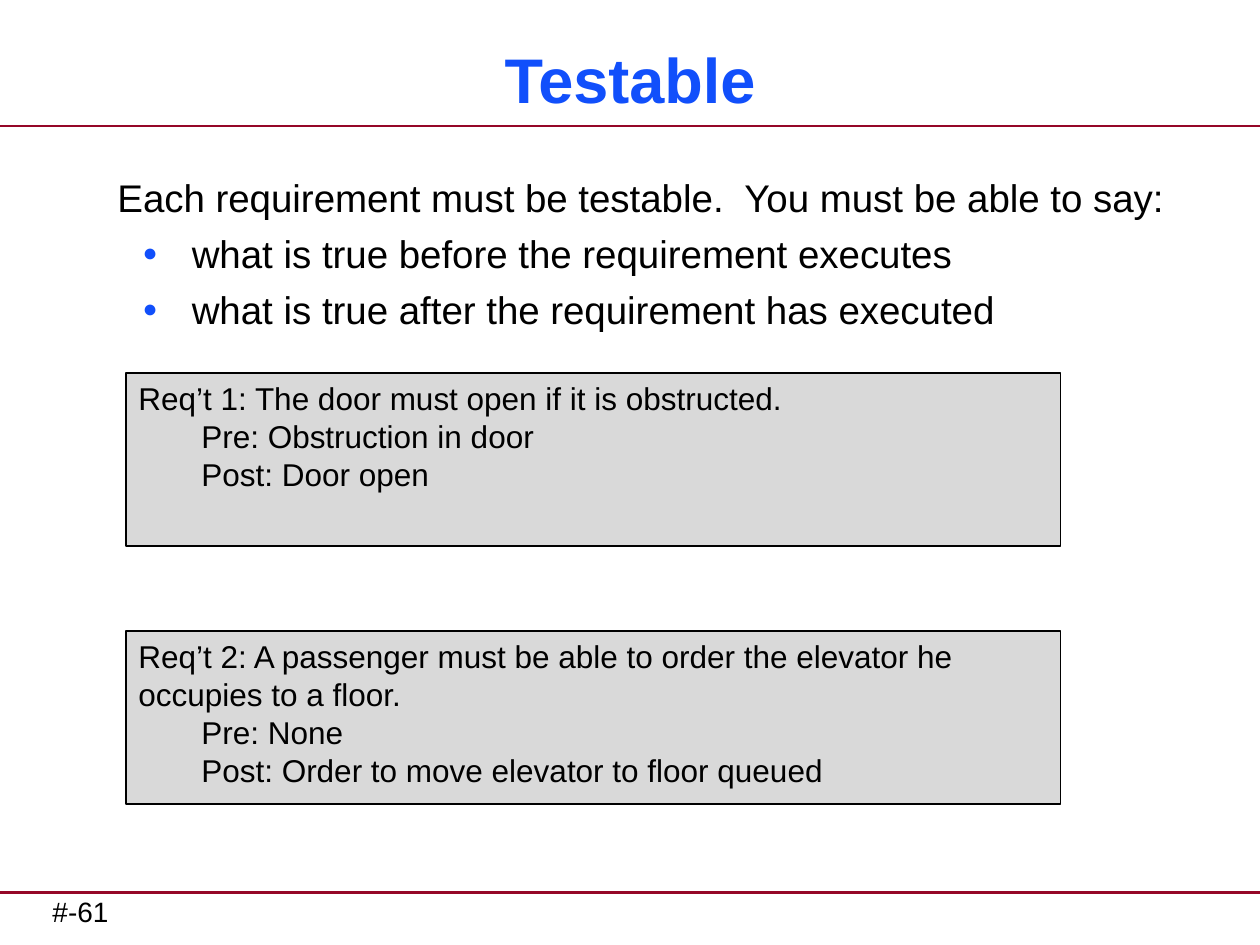
from lxml import etree
from pptx import Presentation
from pptx.dml.color import RGBColor
from pptx.enum.shapes import MSO_CONNECTOR, MSO_SHAPE
from pptx.enum.text import MSO_ANCHOR, PP_ALIGN
from pptx.oxml.ns import qn
from pptx.util import Inches, Pt

LINE, RECT = MSO_CONNECTOR.STRAIGHT, MSO_SHAPE.RECTANGLE
TOP, MIDDLE = MSO_ANCHOR.TOP, MSO_ANCHOR.MIDDLE
LEFT, CENTER = PP_ALIGN.LEFT, PP_ALIGN.CENTER
COLORS = {"rule": "950728", "accent": "114FFB", "ink": "000000"}
COLS, ROWS = 120, 90


class Deck:
    """Holds the style and current slide, placing elements on a 120 by 90 grid."""

    font = "Arial"

    def __init__(self, width, height):
        self.prs = Presentation()
        self.prs.slide_width, self.prs.slide_height = Inches(width), Inches(height)
        self.s = self.prs.slides.add_slide(self.prs.slide_layouts[6])

    def place(self, col, row, cols, rows):
        w, h = self.prs.slide_width / COLS, self.prs.slide_height / ROWS
        return [int(n) for n in (col * w, row * h, cols * w, rows * h)]

    def color(self, key):
        return RGBColor.from_string(COLORS[key])

    def rule(self, row):
        x, y, w, _ = self.place(0, row, COLS, 0)
        sp = self.s.shapes.add_connector(LINE, x, y, x + w, y)
        sp.line.color.rgb = self.color("rule")
        sp.line.width = Pt(1.5)
        etree.SubElement(sp._element.spPr, qn("a:effectLst"))

    def bullet(self, p):
        pPr = p._p.get_or_add_pPr()
        pPr.set("marL", str(Inches(0.59)))
        pPr.set("indent", str(Inches(-0.39)))
        clr = etree.SubElement(pPr, qn("a:buClr"))
        etree.SubElement(clr, qn("a:srgbClr"), val=COLORS["accent"])
        etree.SubElement(pPr, qn("a:buSzPct"), val="65000")
        etree.SubElement(pPr, qn("a:buFont"), typeface=self.font)
        etree.SubElement(pPr, qn("a:buChar"), char="●")

    def fill_text(self, sp, lines, size, color="ink", bold=False, align=LEFT,
                  anchor=TOP, inset=0.1, gap=0, bullets=False):
        tf = sp.text_frame
        tf.word_wrap = True
        tf.vertical_anchor = anchor
        tf.margin_left = tf.margin_right = Inches(inset)
        for i, line in enumerate(lines):
            p = tf.add_paragraph() if i else tf.paragraphs[0]
            p.alignment = align
            if i and bullets:
                p.level = 1
                self.bullet(p)
            if i and gap:
                p.space_before = Pt(gap)
            r = p.add_run()
            r.text = line
            r.font.name, r.font.size, r.font.bold = self.font, Pt(size), bold
            r.font.color.rgb = self.color(color)

    def text(self, area, lines, size, **style):
        sp = self.s.shapes.add_textbox(*self.place(*area))
        self.fill_text(sp, lines, size, **style)

    def box(self, area, lines):
        sp = self.s.shapes.add_shape(RECT, *self.place(*area))
        sp.shadow.inherit = False
        sp.fill.solid()
        sp.fill.fore_color.rgb = self.color("ink")
        clr = sp._element.spPr.find(qn("a:solidFill"))[0]
        etree.SubElement(clr, qn("a:alpha"), val="15000")
        sp.line.color.rgb = self.color("ink")
        sp.line.width = Pt(1)
        self.fill_text(sp, lines, 18)


def main():
    deck = Deck(10, 7.5)
    for row in (12, 85):
        deck.rule(row)
    deck.text((5, 84.6, 58, 4.4), ["#-61"], 16, inset=0)
    deck.text((2, 3, 116, 9), ["Testable"], 36, color="accent", bold=True,
              align=CENTER, anchor=MIDDLE)
    deck.text((10, 16, 106, 67), [
        "Each requirement must be testable.  You must be able to say:",
        "what is true before the requirement executes",
        "what is true after the requirement has executed",
    ], 22, gap=5.5, bullets=True)
    requirements = [
        ("Req’t 1: The door must open if it is obstructed.",
         "Obstruction in door", "Door open"),
        ("Req’t 2: A passenger must be able to order the elevator he occupies to a floor.",
         "None", "Order to move elevator to floor queued"),
    ]
    for i, (rule, pre, post) in enumerate(requirements):
        deck.box((12, 35.5 + 24.6 * i, 89, 16.5),
                 [rule, f"\tPre: {pre}", f"\tPost: {post}"])
    deck.prs.save("out.pptx")


if __name__ == "__main__":
    main()
